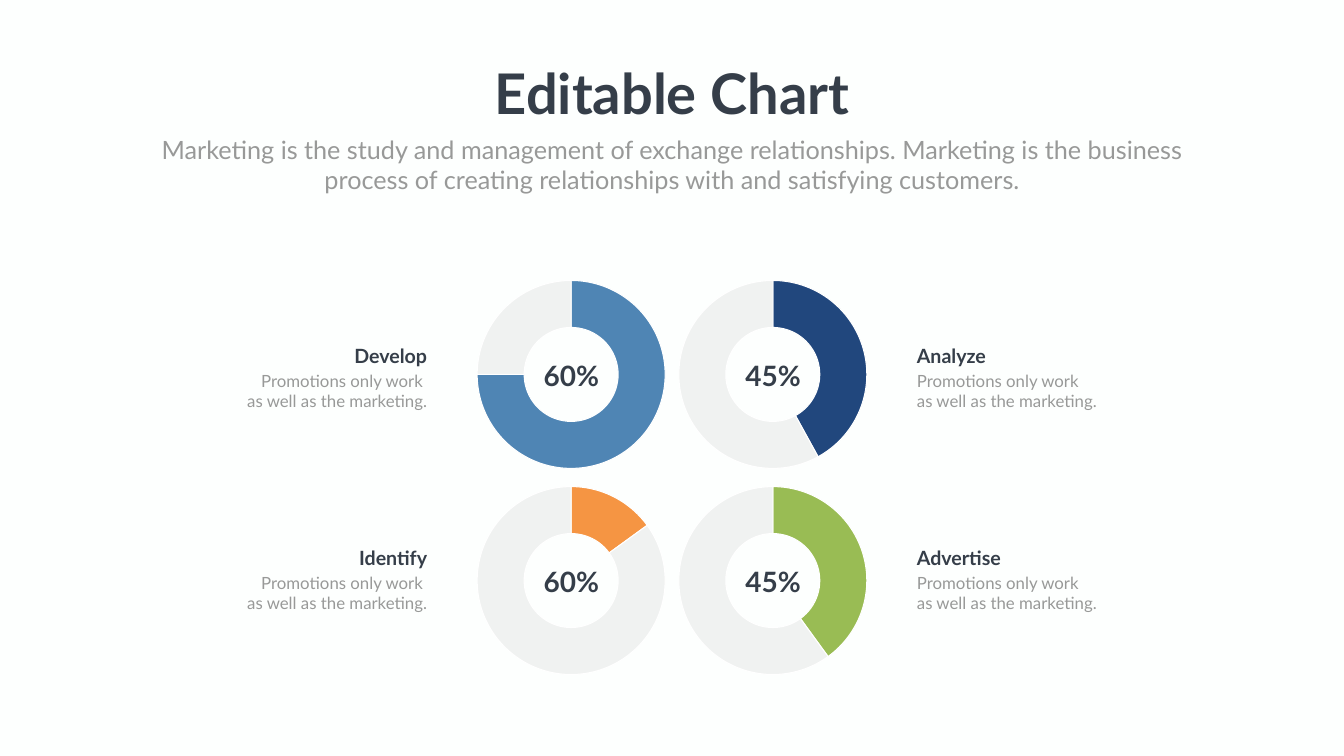
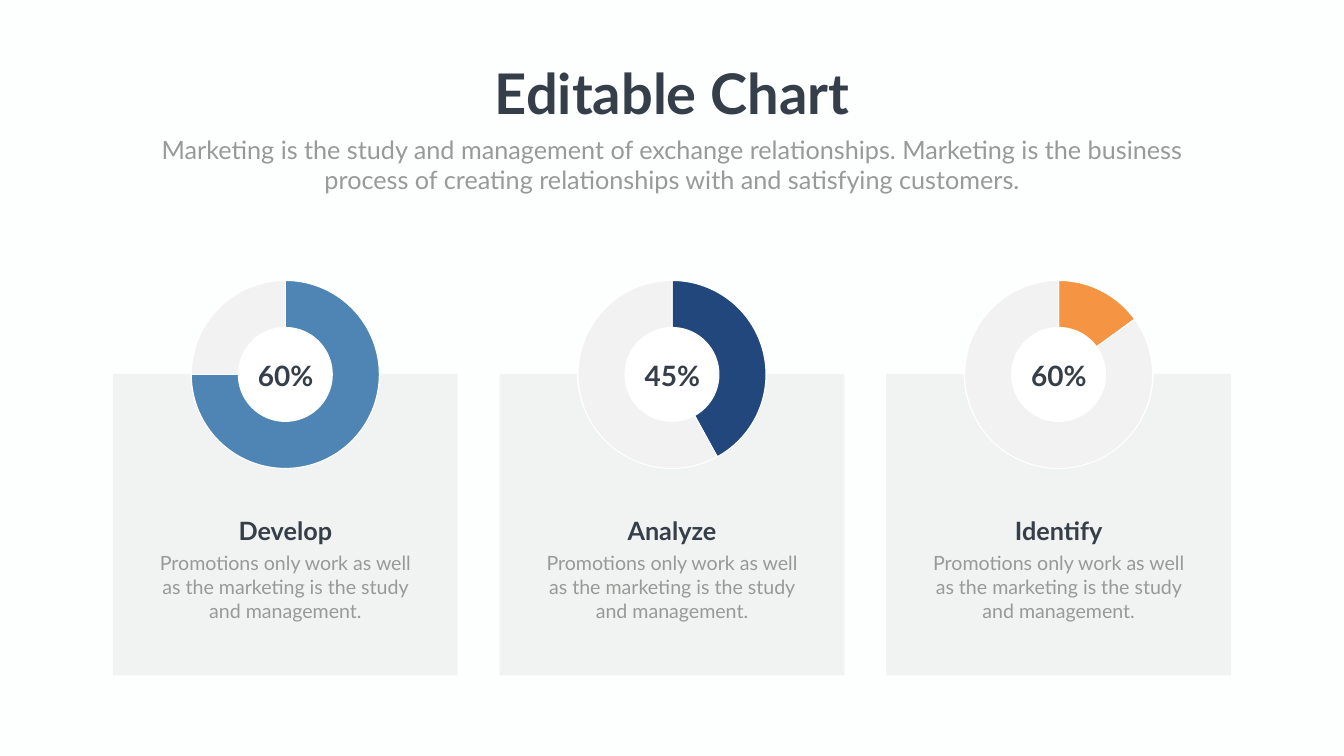
from dataclasses import dataclass
from lxml.etree import SubElement
from pptx import Presentation
from pptx.chart.data import CategoryChartData
from pptx.dml.color import RGBColor
from pptx.enum.chart import XL_CHART_TYPE
from pptx.enum.shapes import MSO_SHAPE
from pptx.enum.text import MSO_ANCHOR, MSO_AUTO_SIZE, PP_ALIGN
from pptx.oxml import parse_xml
from pptx.oxml.ns import nsdecls, qn
from pptx.util import Inches, Pt


@dataclass(frozen=True)
class Theme:
    background: str = "FDFFFE"
    dark: str = "353E49"
    muted: str = "989998"
    card: str = "F0F3F1"
    white: str = "FFFFFF"
    rest: str = "808080"
    blue: str = "4F85B4"
    navy: str = "21477D"
    orange: str = "F59543"
    green: str = "99BC54"
    font: str = "Lato"
    chart_font: str = "Calibri"
    title_size: int = 80
    value_size: int = 40
    large_size: int = 36
    medium_size: int = 28
    small_size: int = 24
    chart_size: int = 10


THEME = Theme()
TITLE = "Editable Chart"
SUBTITLE = (
    "Marketing is the study and management of exchange relationships. "
    "Marketing is the business process of creating relationships with and satisfying customers."
)
CARD_BODY = ["Promotions only work as well as the marketing is the study and management."]
LEFT_BODY = ["Promotions only work ", "as well as the marketing."]
RIGHT_BODY = ["Promotions only work", "as well as the marketing."]

TOPICS = {
    "Develop": ("60%", 75, THEME.blue),
    "Analyze": ("45%", 42, THEME.navy),
    "Identify": ("60%", 15, THEME.orange),
    "Advertise": ("45%", 40, THEME.green),
}
GRID_ROWS = [("Develop", "Analyze"), ("Identify", "Advertise")]
CARDS = ["Develop", "Analyze", "Identify"]

SLIDE_WIDTH, SLIDE_HEIGHT = 26.66, 15
CENTER = SLIDE_WIDTH / 2
CHART_WIDTH, CHART_HEIGHT, RING = 4.28, 4.02, 3.73
FIRST_RING_Y = 7.43


def color(value):
    return RGBColor.from_string(value)


def style_text(shape, lines, size, text_color, bold=False, align=PP_ALIGN.CENTER, wrap=True):
    frame = shape.text_frame
    frame.text = "\n".join(lines)
    frame.word_wrap = wrap
    frame.auto_size = MSO_AUTO_SIZE.SHAPE_TO_FIT_TEXT
    frame.vertical_anchor = MSO_ANCHOR.TOP
    for paragraph in frame.paragraphs:
        paragraph.alignment = align
        paragraph.font.name = THEME.font
        paragraph.font.size = Pt(size)
        paragraph.font.bold = bold
        paragraph.font.color.rgb = color(text_color)


def add_text(slide, left, top, width, height, lines, size, text_color, **style):
    box = slide.shapes.add_textbox(Inches(left), Inches(top), Inches(width), Inches(height))
    style_text(box, lines, size, text_color, **style)


def add_filled(slide, kind, left, top, width, height, fill):
    shape = slide.shapes.add_shape(kind, Inches(left), Inches(top), Inches(width), Inches(height))
    shape.shadow.inherit = False
    shape.fill.solid()
    shape.fill.fore_color.rgb = color(fill)
    shape.line.fill.background()


def set_ring_layout(chart):
    plot_area = chart.plots[0]._element.getparent()
    for old_layout in plot_area.findall(qn("c:layout")):
        plot_area.remove(old_layout)
    width, height = RING / CHART_WIDTH, RING / CHART_HEIGHT
    settings = [
        ("layoutTarget", "inner"), ("xMode", "edge"), ("yMode", "edge"),
        ("x", (1 - width) / 2), ("y", (1 - height) / 2), ("w", width), ("h", height),
    ]
    children = "".join(f'<c:{name} val="{value}"/>' for name, value in settings)
    plot_area.insert(0, parse_xml(
        f'<c:layout {nsdecls("c")}><c:manualLayout>{children}</c:manualLayout></c:layout>'))


def add_ring(slide, topic, center_x, center_y):
    label, share, ring_color = TOPICS[topic]
    data = CategoryChartData()
    data.categories = ["1", "2"]
    data.add_series("Series 1", (share, 100 - share))
    chart = slide.shapes.add_chart(
        XL_CHART_TYPE.DOUGHNUT,
        Inches(center_x - CHART_WIDTH / 2), Inches(center_y - CHART_HEIGHT / 2),
        Inches(CHART_WIDTH), Inches(CHART_HEIGHT), data,
    ).chart
    chart.has_title = False
    chart.has_legend = False
    chart.font.name = THEME.chart_font
    chart.font.size = Pt(THEME.chart_size)
    chart.font.color.rgb = color(THEME.muted)
    plot = chart.plots[0]
    plot.vary_by_categories = True
    plot.has_data_labels = False
    plot._element.find(qn("c:holeSize")).set("val", "75")
    for index, fill_color in enumerate((ring_color, THEME.rest)):
        part = plot.series[0].points[index].format
        part.fill.solid()
        part.fill.fore_color.rgb = color(fill_color)
        part.line.color.rgb = color(THEME.white)
        part.line.width = Pt(1.5)
    rest_color = part.fill._xPr.find(qn("a:solidFill"))[0]
    SubElement(rest_color, qn("a:alpha")).set("val", "10000")
    set_ring_layout(chart)
    add_text(slide, center_x - 1.26, center_y - 0.37, 2.53, 0.77, [label],
             THEME.value_size, THEME.dark, bold=True)


def add_titled_slide(presentation):
    slide = presentation.slides.add_slide(presentation.slide_layouts[5])
    title = slide.shapes.title
    title.left, title.top, title.width, title.height = map(Inches, (9.65, 1.12, 7.37, 1.45))
    style_text(title, [TITLE], THEME.title_size, THEME.dark, bold=True, wrap=False)
    add_text(slide, 2.92, 2.61, 20.82, 1.31, [SUBTITLE], THEME.large_size, THEME.muted)
    return slide


def build_grid_slide(presentation):
    slide = add_titled_slide(presentation)
    text_gap, heading_width, body_width = 4.76, 2.2, 3.9
    for row, topics in enumerate(GRID_ROWS):
        center_y = FIRST_RING_Y + row * 4.09
        heading_top = 6.78 + row * 4.01
        for side, topic in zip((-1, 1), topics):
            add_ring(slide, topic, CENTER + side * 2, center_y)
            on_left = side < 0
            edge = CENTER + side * text_gap
            align = PP_ALIGN.RIGHT if on_left else PP_ALIGN.LEFT
            add_text(slide, edge - on_left * heading_width, heading_top, heading_width, 0.57,
                     [topic], THEME.medium_size, THEME.dark, bold=True, align=align)
            add_text(slide, edge - on_left * body_width, heading_top + 0.53, body_width, 0.91,
                     LEFT_BODY if on_left else RIGHT_BODY,
                     THEME.small_size, THEME.muted, align=align)


def build_card_slide(presentation):
    slide = add_titled_slide(presentation)
    card_width, card_pitch, disc = 6.84, 7.67, 3.77
    for column, topic in enumerate(CARDS):
        center_x = CENTER + (column - 1) * card_pitch
        add_filled(slide, MSO_SHAPE.RECTANGLE, center_x - card_width / 2, 7.42,
                   card_width, 5.98, THEME.card)
        add_filled(slide, MSO_SHAPE.OVAL, center_x - disc / 2, 5.52, disc, disc, THEME.white)
        add_ring(slide, topic, center_x, FIRST_RING_Y)
        add_text(slide, center_x - 1.1, 10.18, 2.2, 0.71, [topic],
                 THEME.large_size, THEME.dark, bold=True)
        add_text(slide, center_x - 2.67, 10.89, 5.34, 1.51, CARD_BODY,
                 THEME.medium_size, THEME.muted)


def main():
    presentation = Presentation()
    presentation.slide_width = Inches(SLIDE_WIDTH)
    presentation.slide_height = Inches(SLIDE_HEIGHT)
    background = presentation.slide_master.background.fill
    background.solid()
    background.fore_color.rgb = color(THEME.background)
    build_grid_slide(presentation)
    build_card_slide(presentation)
    presentation.save("out.pptx")


if __name__ == "__main__":
    main()
